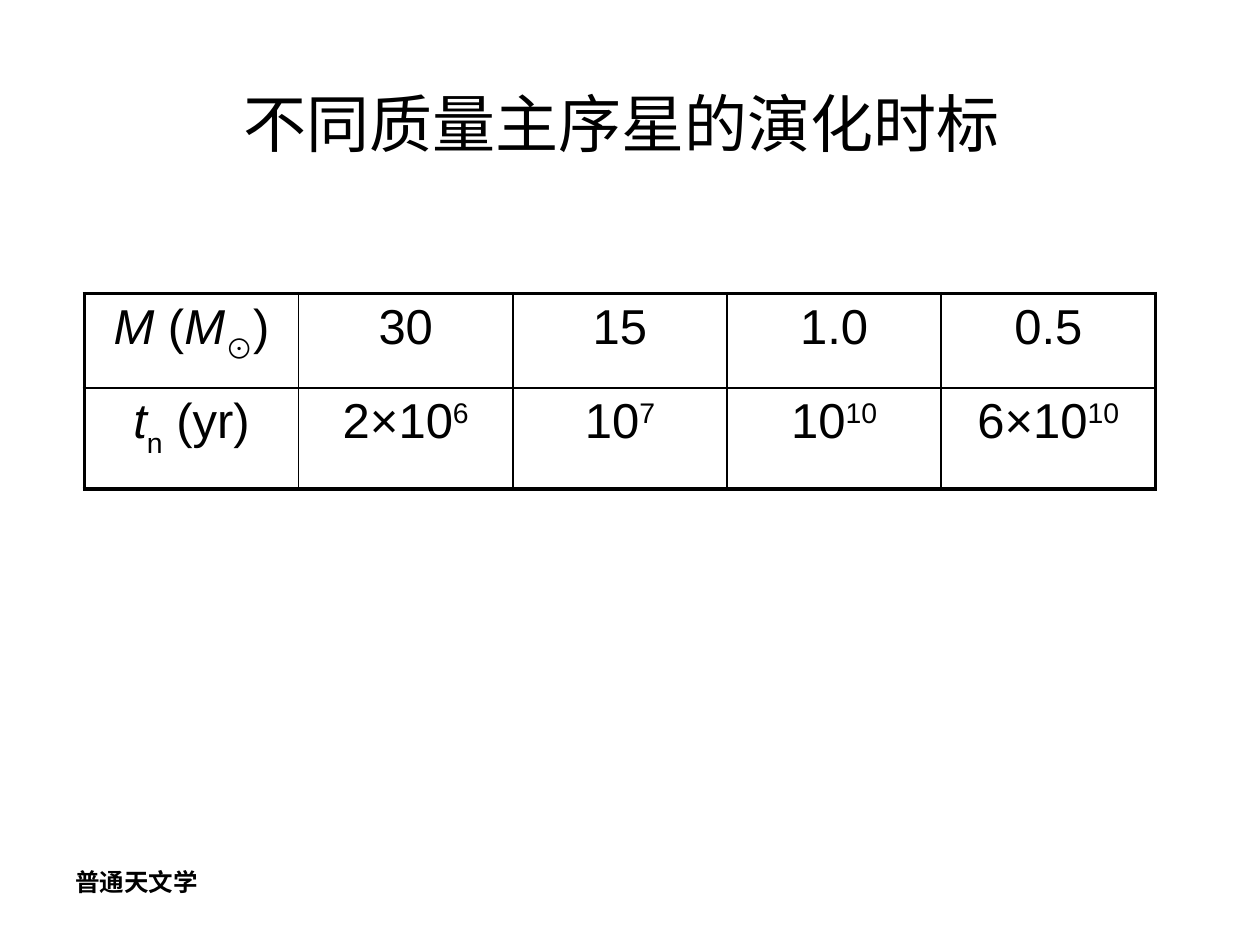
from lxml import etree
from pptx import Presentation
from pptx import util as u
from pptx.dml import color
from pptx.enum import text
from pptx.oxml import ns

COLORS = {"ink": "000000", "paper": "FFFFFF"}
LATIN, HAN = "Arial", "Noto Sans CJK SC"
ITALIC = {"italic": True}
SUB, SUPER = {"baseline": -30000}, {"baseline": 30000}
ROWS = [
    [
        [("M", ITALIC), (" (", {}), ("M", ITALIC), ("⊙", SUB), (")", {})],
        [("30", {})],
        [("15", {})],
        [("1.0", {})],
        [("0.5", {})],
    ],
    [
        [("t", ITALIC), ("n", SUB), (" (yr)", {})],
        [("2×10", {}), ("6", SUPER)],
        [("10", {}), ("7", SUPER)],
        [("10", {}), ("10", SUPER)],
        [("6×10", {}), ("10", SUPER)],
    ],
]


def add_spans(para, spans, **base):
    for words, changes in spans:
        span = para.add_run()
        span.text = words
        values = {"name": LATIN, **base, **changes}
        baseline = values.pop("baseline", None)
        for name, value in values.items():
            setattr(span.font, name, value)
        span.font.color.rgb = color.RGBColor.from_string(COLORS["ink"])
        props = span.font._element
        etree.SubElement(props, ns.qn("a:ea"), typeface=HAN)
        if baseline:
            props.set("baseline", str(baseline))


def add_text(page, place, spans, align, anchor, **base):
    box = page.shapes.add_textbox(*map(u.Inches, place))
    frame = box.text_frame
    settings = {"word_wrap": True, "vertical_anchor": anchor}
    for name, value in settings.items():
        setattr(frame, name, value)
    para = frame.paragraphs[0]
    para.alignment = align
    add_spans(para, spans, **base)


def set_borders(cell, widths):
    props = cell._tc.get_or_add_tcPr()
    for side, width in widths.items():
        line = etree.SubElement(props, ns.qn(f"a:ln{side}"), w=str(u.Pt(width)))
        fill = etree.SubElement(line, ns.qn("a:solidFill"))
        etree.SubElement(fill, ns.qn("a:srgbClr"), val=COLORS["ink"])


def add_timescale_table(page):
    last_row, last_column = len(ROWS) - 1, len(ROWS[0]) - 1
    place = map(u.Inches, (0.67, 2.33, 8.5, 1.55))
    table = page.shapes.add_table(len(ROWS), len(ROWS[0]), *place).table
    for name in ("first_row", "horz_banding"):
        setattr(table, name, False)
    for row, height in zip(table.rows, (0.75, 0.8)):
        row.height = u.Inches(height)
    for r, row in enumerate(ROWS):
        for c, spans in enumerate(row):
            cell = table.cell(r, c)
            outer = {"L": c == 0, "R": c == last_column, "T": r == 0, "B": r == last_row}
            set_borders(cell, {side: 2.25 if edge else 1 for side, edge in outer.items()})
            cell.fill.background()
            para = cell.text_frame.paragraphs[0]
            para.alignment = text.PP_ALIGN.CENTER
            add_spans(para, spans, size=u.Pt(28))


def main():
    deck = Presentation()
    deck.slide_width, deck.slide_height = u.Inches(10), u.Inches(7.5)
    page = deck.slides.add_slide(deck.slide_layouts[6])
    page.background.fill.solid()
    page.background.fill.fore_color.rgb = color.RGBColor.from_string(COLORS["paper"])
    add_text(page, (0.5, 6.83, 2.33, 0.52), [("普通天文学", {})],
             text.PP_ALIGN.LEFT, text.MSO_ANCHOR.TOP,
             name=HAN, size=u.Pt(14), bold=True)
    add_text(page, (0.5, 0.59, 9, 0.67),
             [("不同质量主序星的演化时标", {}), (" ", {"size": u.Pt(44)})],
             text.PP_ALIGN.CENTER, text.MSO_ANCHOR.MIDDLE, size=u.Pt(36))
    add_timescale_table(page)
    deck.save("out.pptx")


if __name__ == "__main__":
    main()
